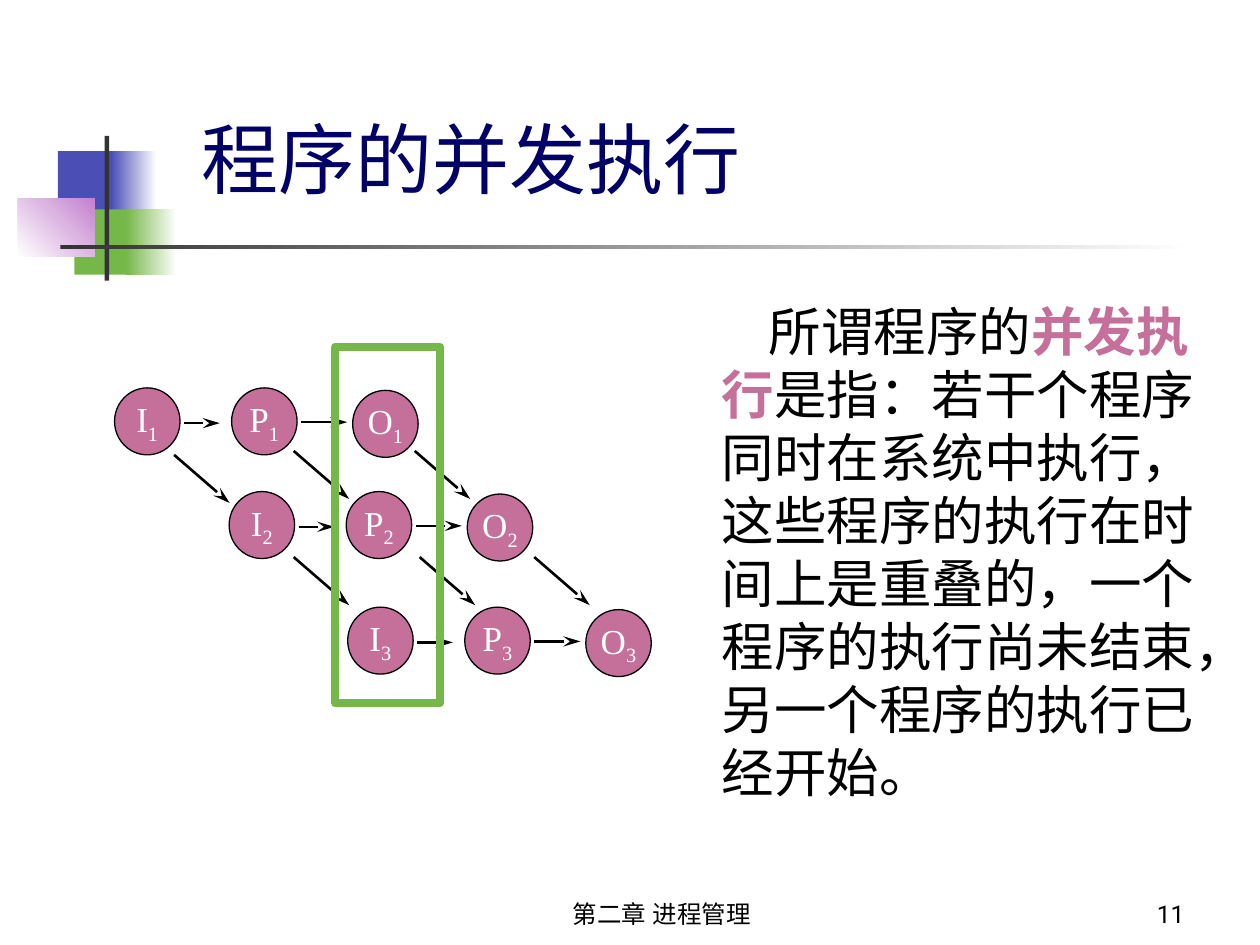
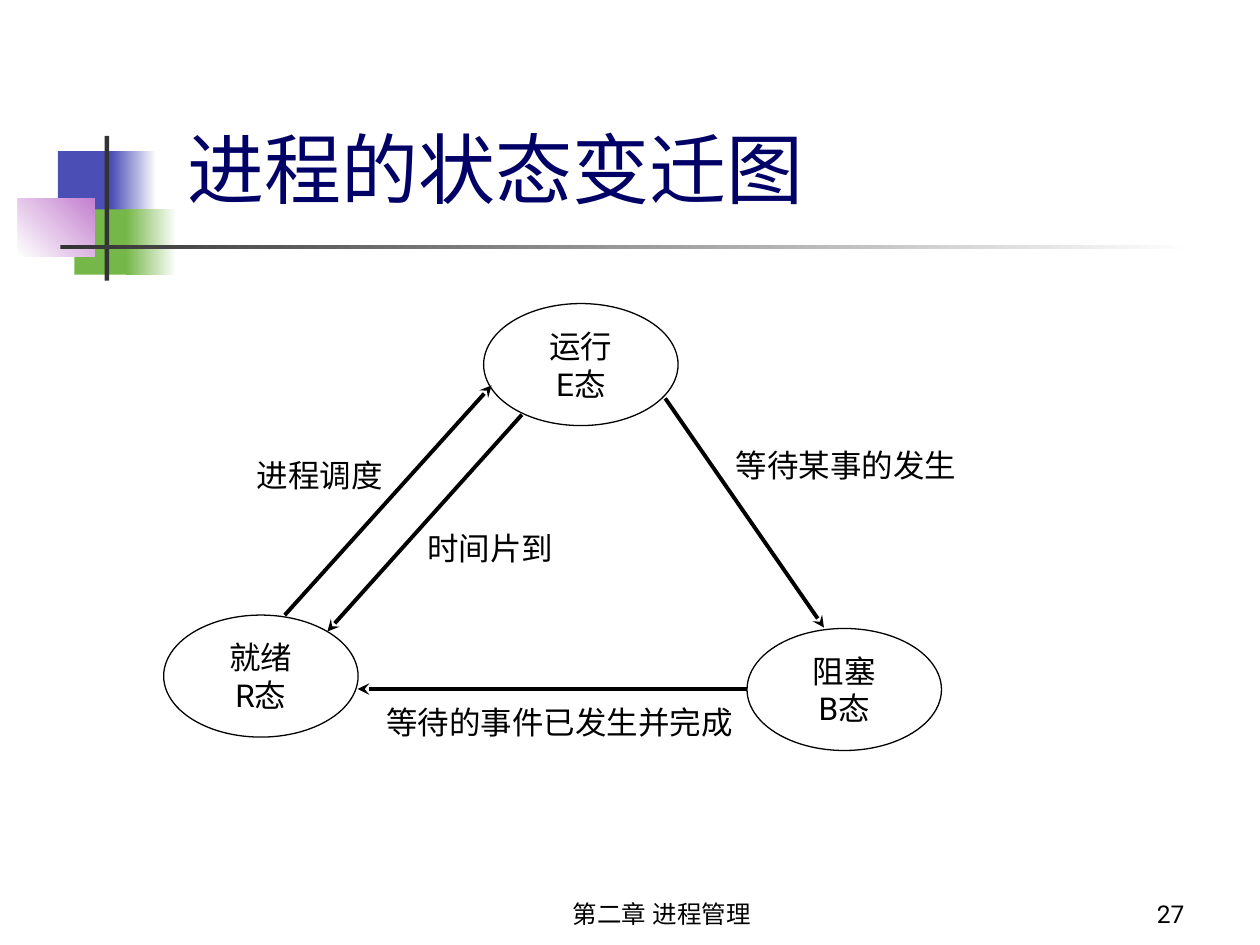
from dataclasses import dataclass
from typing import NamedTuple, Optional

from lxml.etree import SubElement
from pptx import Presentation
from pptx.dml.color import RGBColor
from pptx.enum.shapes import MSO_CONNECTOR as Connector, MSO_SHAPE as ShapeKind
from pptx.enum.text import MSO_ANCHOR as Anchor, MSO_AUTO_SIZE as AutoSize, PP_ALIGN as Align
from pptx.oxml.ns import qn
from pptx.util import Cm, Pt


@dataclass(frozen=True)
class Theme:
    black: str = "000000"
    white: str = "FFFFFF"
    navy: str = "000066"
    blue: str = "4B4EB5"
    green: str = "76B749"
    lilac: str = "C481CF"
    rose: str = "C4709A"
    gray: str = "333333"
    chinese_font: str = "Noto Sans CJK SC"
    plain_font: str = "Roboto"
    node_font: str = "Times New Roman"
    title_size: float = 44
    body_size: float = 30
    body_leading: float = 36
    node_size: float = 20
    state_size: float = 18
    footer_size: float = 14
    thin: float = 0.75
    flow_line: float = 1.5
    state_line: float = 2.25
    frame_line: float = 4.5


THEME = Theme()
TITLE_ONLY = 5


class Box(NamedTuple):
    left: float
    top: float
    width: float
    height: float

    def lengths(self) -> list:
        return [Cm(value) for value in self]


class Band(NamedTuple):
    box: Box
    start: str
    end: Optional[str] = None
    angle: float = 0


class Arrow(NamedTuple):
    x1: float
    y1: float
    x2: float
    y2: float


class Process(NamedTuple):
    number: int
    left: float
    top: float


class Stage(NamedTuple):
    letter: str
    dx: float
    dy: float


class State(NamedTuple):
    name: str
    code: str
    box: Box


class Label(NamedTuple):
    text: str
    box: Box


BANDS = [
    Band(Box(1.17, 3.05, 1.22, 1.32), THEME.blue),
    Band(Box(2.24, 3.05, 0.91, 1.32), THEME.blue, THEME.white),
    Band(Box(1.5, 4.22, 1.17, 1.32), THEME.green),
    Band(Box(2.54, 4.22, 1.02, 1.32), THEME.green, THEME.white),
    Band(Box(0.36, 4.01, 1.55, 1.17), THEME.white, THEME.lilac, 45),
    Band(Box(2.11, 2.74, 0.09, 2.92), THEME.gray),
    Band(Box(1.22, 4.94, 22.86, 0.09), THEME.gray, THEME.white),
]
FOOTER = Label("第二章 进程管理", Box(9.32, 17.58, 8.05, 1.27))
PAGE_BOX = Box(18.85, 17.58, 5.28, 1.27)

PROCESSES = [Process(1, 2.31, 7.82), Process(2, 4.62, 9.91), Process(3, 7.01, 12.24)]
STAGES = [Stage("I", 0, 0), Stage("P", 2.36, 0), Stage("O", 4.8, 0.05)]
NODE_WIDTH, NODE_HEIGHT = 1.32, 1.35
STAGE_ARROWS = [Arrow(1.4, 0.71, 2.12, 0.71), Arrow(3.76, 0.69, 4.69, 0.69)]
DIAGONAL_STARTS = [
    (3.51, 9.17), (5.92, 11.23), (5.92, 9.09),
    (8.36, 9.09), (10.77, 11.23), (8.46, 11.23),
]
DIAGONAL_DX, DIAGONAL_DY = 1.12, 0.97
OVERLAP_FRAME = Box(6.76, 6.99, 2.11, 7.19)
BODY_BOX = Box(14.3, 5.77, 10.57, 11.25)
BODY_PARTS = [
    ("所谓程序的", False),
    ("并发执行", True),
    ("是指：若干个程序同时在系统中执行，这些程序的执行在时间上是重叠的，"
     "一个程序的执行尚未结束，另一个程序的执行已经开始。", False),
]

STATES = [
    State("运行", "E态", Box(9.75, 6.12, 3.92, 2.46)),
    State("就绪", "R态", Box(3.3, 12.4, 3.92, 2.46)),
    State("阻塞", "B态", Box(15.06, 12.67, 3.92, 2.46)),
]
TRANSITIONS = [
    Arrow(5.74, 12.4, 9.91, 7.77),
    Arrow(10.52, 8.36, 6.6, 12.73),
    Arrow(13.41, 8.03, 16.61, 12.65),
    Arrow(15.06, 13.89, 7.21, 13.89),
]
TRANSITION_LABELS = [
    Label("进程调度", Box(4.93, 9.07, 3.1, 1.02)),
    Label("时间片到", Box(8.36, 10.54, 4.17, 1.02)),
    Label("等待某事的发生", Box(14.58, 8.86, 6.12, 1.02)),
    Label("等待的事件已发生并完成", Box(7.54, 14.05, 7.7, 1.02)),
]


def rgb(color: str) -> RGBColor:
    return RGBColor.from_string(color)


def format_run(run, font_name: str, size: float, color: str) -> None:
    run.font.name = font_name
    run.font.size = Pt(size)
    run.font.color.rgb = rgb(color)
    SubElement(run._r.get_or_add_rPr(), qn("a:ea"), typeface=font_name)


def format_text(text_frame, font_name: str, size: float, color: str, align=Align.LEFT) -> None:
    for paragraph in text_frame.paragraphs:
        paragraph.alignment = align
        for run in paragraph.runs:
            format_run(run, font_name, size, color)


def add_plain_shape(slide, kind, box: Box, fill: Optional[str] = None,
                    line: Optional[str] = None, width: float = 0):
    shape = slide.shapes.add_shape(kind, *box.lengths())
    shape.shadow.inherit = False
    if fill:
        shape.fill.solid()
        shape.fill.fore_color.rgb = rgb(fill)
    else:
        shape.fill.background()
    if line:
        shape.line.color.rgb = rgb(line)
        shape.line.width = Pt(width)
    else:
        shape.line.fill.background()
    return shape


def add_arrow(slide, arrow: Arrow, width: float, head_length: str) -> None:
    connector = slide.shapes.add_connector(Connector.STRAIGHT, *[Cm(value) for value in arrow])
    connector.line.color.rgb = rgb(THEME.black)
    connector.line.width = Pt(width)
    SubElement(connector.line._get_or_add_ln(), qn("a:tailEnd"),
               type="stealth", w="med", len=head_length)
    SubElement(connector.element.spPr, qn("a:effectLst"))


def add_label(slide, label: Label, size: float, align=Align.LEFT, anchor=Anchor.TOP) -> None:
    text_frame = slide.shapes.add_textbox(*label.box.lengths()).text_frame
    text_frame.word_wrap = True
    text_frame.vertical_anchor = anchor
    text_frame.text = label.text
    format_text(text_frame, THEME.plain_font, size, THEME.black, align)


def add_bands_to_layout(slide) -> None:
    for band in BANDS:
        shape = add_plain_shape(slide, ShapeKind.RECTANGLE, band.box, band.start)
        if band.end:
            shape.fill.gradient()
            shape.fill.gradient_angle = band.angle
            for stop, color, position in zip(shape.fill.gradient_stops, (band.start, band.end), (0, 1)):
                stop.color.rgb = rgb(color)
                stop.position = position
        slide.slide_layout.shapes.element.append(shape.element)


def add_titled_slide(presentation, title: Label, page: str):
    slide = presentation.slides.add_slide(presentation.slide_layouts[TITLE_ONLY])
    placeholder = slide.shapes.title
    placeholder.left, placeholder.top, placeholder.width, placeholder.height = title.box.lengths()
    text_frame = placeholder.text_frame
    text_frame.text = title.text
    text_frame.auto_size = AutoSize.NONE
    text_frame.vertical_anchor = Anchor.BOTTOM
    format_text(text_frame, THEME.chinese_font, THEME.title_size, THEME.navy)
    add_label(slide, FOOTER, THEME.footer_size, Align.CENTER, Anchor.BOTTOM)
    add_label(slide, Label(page, PAGE_BOX), THEME.footer_size, Align.RIGHT, Anchor.BOTTOM)
    return slide


def add_node(slide, process: Process, stage: Stage) -> None:
    box = Box(process.left + stage.dx, process.top + stage.dy, NODE_WIDTH, NODE_HEIGHT)
    shape = add_plain_shape(slide, ShapeKind.OVAL, box, THEME.rose, THEME.black, THEME.thin)
    text_frame = shape.text_frame
    text_frame.word_wrap = False
    text_frame.text = stage.letter
    subscript = text_frame.paragraphs[0].add_run()
    subscript.text = str(process.number)
    format_text(text_frame, THEME.node_font, THEME.node_size, THEME.white, Align.CENTER)
    subscript._r.get_or_add_rPr().set("baseline", "-25000")


def add_state(slide, state: State) -> None:
    shape = add_plain_shape(slide, ShapeKind.OVAL, state.box, None, THEME.black, THEME.thin)
    shape.text_frame.word_wrap = False
    shape.text_frame.text = f"{state.name}\n{state.code}"
    format_text(shape.text_frame, THEME.plain_font, THEME.state_size, THEME.black, Align.CENTER)


def add_definition(slide) -> None:
    text_frame = slide.shapes.add_textbox(*BODY_BOX.lengths()).text_frame
    text_frame.word_wrap = True
    text_frame.margin_top = Cm(0.25)
    paragraph = text_frame.paragraphs[0]
    paragraph.line_spacing = Pt(THEME.body_leading)
    paragraph._p.get_or_add_pPr().set("indent", str(Cm(0.95)))
    for text, emphasized in BODY_PARTS:
        run = paragraph.add_run()
        run.text = text
        run.font.bold = emphasized
        color = THEME.rose if emphasized else THEME.black
        format_run(run, THEME.chinese_font, THEME.body_size, color)


def build_concurrency_slide(presentation) -> None:
    title = Label("程序的并发执行", Box(3.81, 1.73, 21.03, 2.51))
    slide = add_titled_slide(presentation, title, "11")
    add_bands_to_layout(slide)
    add_definition(slide)
    for process in PROCESSES:
        for stage in STAGES:
            add_node(slide, process, stage)
        for x1, y1, x2, y2 in STAGE_ARROWS:
            arrow = Arrow(process.left + x1, process.top + y1, process.left + x2, process.top + y2)
            add_arrow(slide, arrow, THEME.flow_line, "lg")
    for x, y in DIAGONAL_STARTS:
        add_arrow(slide, Arrow(x, y, x + DIAGONAL_DX, y + DIAGONAL_DY), THEME.flow_line, "lg")
    add_plain_shape(slide, ShapeKind.RECTANGLE, OVERLAP_FRAME, None, THEME.green, THEME.frame_line)


def build_state_slide(presentation) -> None:
    title = Label("进程的状态变迁图", Box(3.53, 1.93, 18.9, 2.51))
    slide = add_titled_slide(presentation, title, "27")
    for state in STATES:
        add_state(slide, state)
    for transition, label in zip(TRANSITIONS, TRANSITION_LABELS):
        add_arrow(slide, transition, THEME.state_line, "med")
        add_label(slide, label, THEME.state_size)


def main() -> None:
    presentation = Presentation()
    presentation.slide_width, presentation.slide_height = Cm(25.4), Cm(19.05)
    build_concurrency_slide(presentation)
    build_state_slide(presentation)
    presentation.save("out.pptx")


if __name__ == "__main__":
    main()
